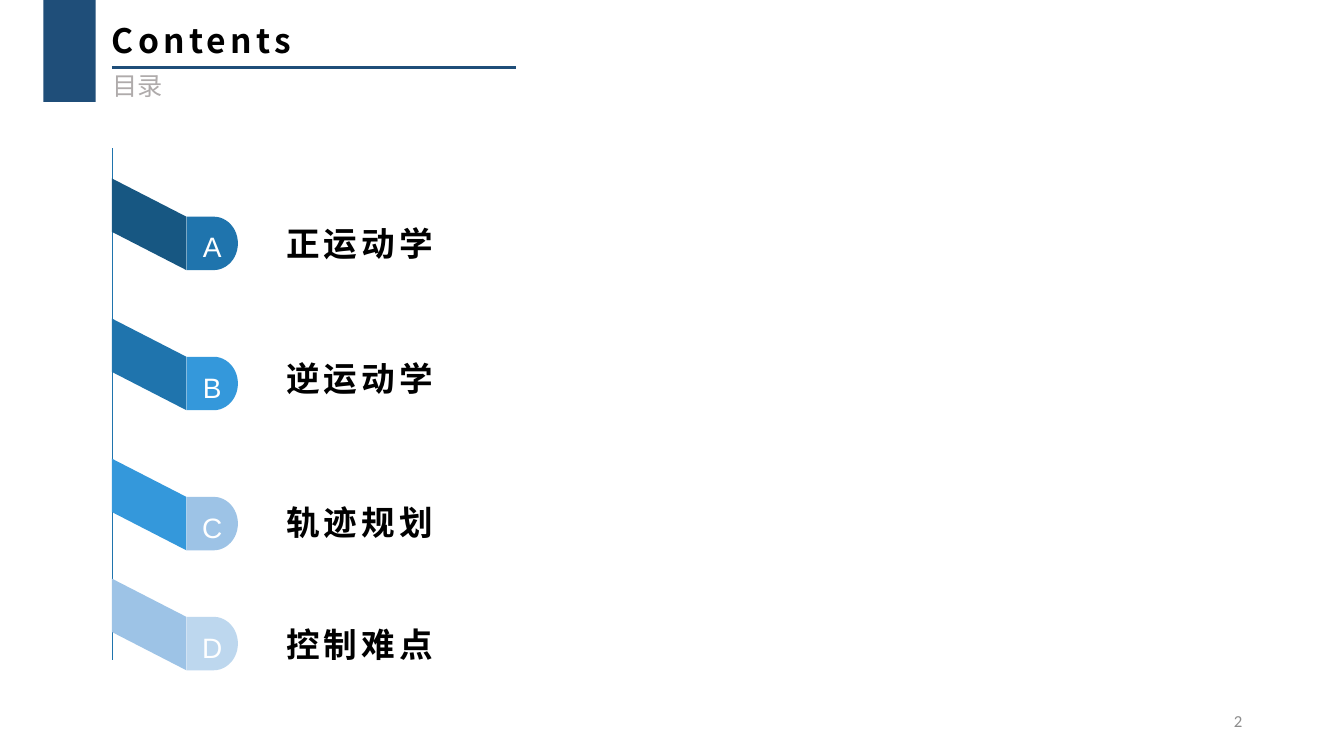
from math import cos, pi, sin

from lxml.etree import SubElement
from pptx import Presentation
from pptx.dml.color import RGBColor
from pptx.enum.shapes import MSO_CONNECTOR, MSO_SHAPE
from pptx.enum.text import MSO_ANCHOR as Anchor, MSO_AUTO_SIZE as AutoSize, PP_ALIGN as Align
from pptx.oxml.ns import qn
from pptx.util import Inches, Pt

NAVY = RGBColor(0x1F, 0x4E, 0x79)
DEEP = RGBColor(0x17, 0x57, 0x82)
BLUE = RGBColor(0x1F, 0x74, 0xAD)
BRIGHT = RGBColor(0x34, 0x98, 0xDB)
LIGHT = RGBColor(0x9D, 0xC3, 0xE6)
PALE = RGBColor(0xBD, 0xD7, 0xEE)
BLACK = RGBColor(0, 0, 0)
WHITE = RGBColor(0xFF, 0xFF, 0xFF)
SILVER = RGBColor(0xAF, 0xAB, 0xAB)
GRAY = RGBColor(0x8C, 0x8C, 0x8C)
CJK = "Noto Sans CJK SC"

GRID = Inches(0.01)
SPINE = 111
FOLD = 185
TAB_WIDTH, TAB_HEIGHT = 51, 53
SLOPE = 38
ARC_STEPS = 24

presentation = Presentation()
presentation.slide_width = Inches(13.33)
presentation.slide_height = Inches(7.5)
slide = presentation.slides.add_slide(presentation.slide_layouts[5])


def write(shape, text, font, size, color, bold=False, spacing=0, align=Align.LEFT,
          anchor=Anchor.TOP, wrap=True):
    frame = shape.text_frame
    frame.text = text
    frame.word_wrap = wrap
    frame.auto_size = AutoSize.NONE
    frame.vertical_anchor = anchor
    paragraph = frame.paragraphs[0]
    paragraph.alignment = align
    run = paragraph.runs[0]
    run.font.name, run.font.size, run.font.bold = font, Pt(size), bold
    run.font.color.rgb = color
    properties = run.font._element
    properties.set("spc", str(spacing * 100))
    SubElement(properties, qn("a:ea")).set("typeface", font)
    return paragraph


def add_outline(shapes, points, color):
    points = [(round(x * GRID), round(y * GRID)) for x, y in points]
    builder = shapes.build_freeform(*points[0], scale=1.0)
    builder.add_line_segments(points[1:], close=True)
    shape = builder.convert_to_shape()
    shape.shadow.inherit = False
    shape.fill.solid()
    shape.fill.fore_color.rgb = color
    shape.line.fill.background()
    return shape


header_bar = slide.shapes.add_shape(
    MSO_SHAPE.RECTANGLE, 43 * GRID, -20 * GRID, 52 * GRID, 121 * GRID)
header_bar.shadow.inherit = False
header_bar.fill.solid()
header_bar.fill.fore_color.rgb = NAVY
header_bar.line.fill.background()

title = slide.shapes.title
title.left, title.top, title.width, title.height = 101 * GRID, 15 * GRID, 265 * GRID, 50 * GRID
write(title, "Contents", CJK, 24, BLACK, bold=True, spacing=3)

subtitle = slide.shapes.add_textbox(102 * GRID, 65 * GRID, 369 * GRID, 40 * GRID)
write(subtitle, "目录", CJK, 18, SILVER)

rules = [(SPINE, 67, 512, 67, NAVY, 1.5), (SPINE, 147, SPINE, 655, BLUE, 0.5)]
for x1, y1, x2, y2, color, weight in rules:
    rule = slide.shapes.add_connector(
        MSO_CONNECTOR.STRAIGHT, x1 * GRID, y1 * GRID, x2 * GRID, y2 * GRID)
    rule.line.color.rgb = color
    rule.line.width = Pt(weight)
    SubElement(rule._element.spPr, qn("a:effectLst"))

chapters = [
    ("A", "正运动学", 177, 216, DEEP, BLUE),
    ("B", "逆运动学", 316, 350, BLUE, BRIGHT),
    ("C", "轨迹规划", 455, 493, BRIGHT, LIGHT),
    ("D", "控制难点", 574, 614, LIGHT, PALE),
]
radius_x, radius_y = TAB_WIDTH - 27, TAB_HEIGHT / 2
for letter, name, top, name_top, ribbon_color, tab_color in chapters:
    group = slide.shapes.add_group_shape()
    tab_top = top + SLOPE
    add_outline(group.shapes, [
        (SPINE, top), (FOLD, tab_top),
        (FOLD, tab_top + TAB_HEIGHT), (SPINE, top + TAB_HEIGHT)], ribbon_color)

    angles = [pi * step / ARC_STEPS - pi / 2 for step in range(ARC_STEPS + 1)]
    arc = [(FOLD + 27 + radius_x * cos(angle), tab_top + radius_y * (1 + sin(angle)))
           for angle in angles]
    tab = add_outline(
        group.shapes, [(FOLD, tab_top), *arc, (FOLD, tab_top + TAB_HEIGHT)], tab_color)
    paragraph = write(tab, letter, "Arial", 20, WHITE, spacing=3,
                      align=Align.CENTER, anchor=Anchor.MIDDLE)
    paragraph.line_spacing = 1.2

    label = slide.shapes.add_textbox(274 * GRID, name_top * GRID, 172 * GRID, 50 * GRID)
    write(label, name, CJK, 24, BLACK, bold=True, spacing=3, wrap=False)

page_number = slide.shapes.add_textbox(942 * GRID, 695 * GRID, 300 * GRID, 40 * GRID)
write(page_number, "2", "Calibri", 12, GRAY, align=Align.RIGHT, anchor=Anchor.MIDDLE)

presentation.save("out.pptx")
